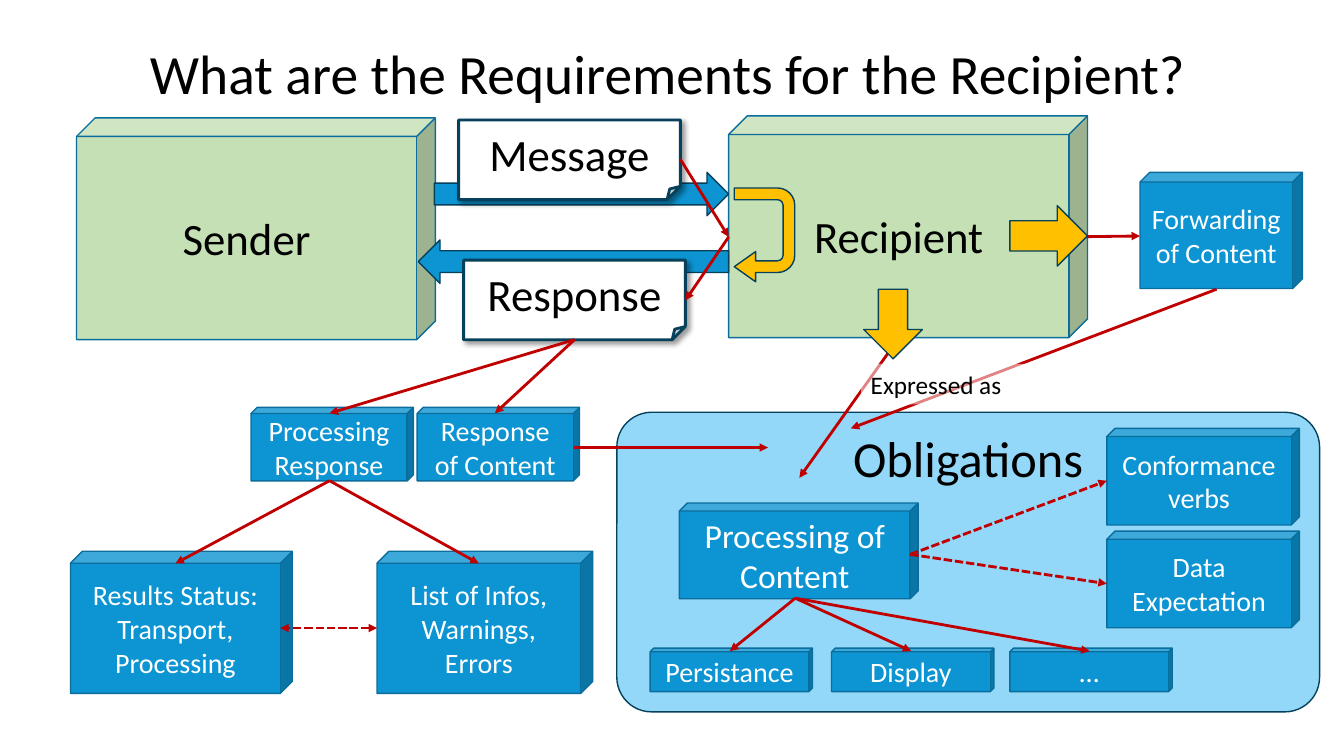
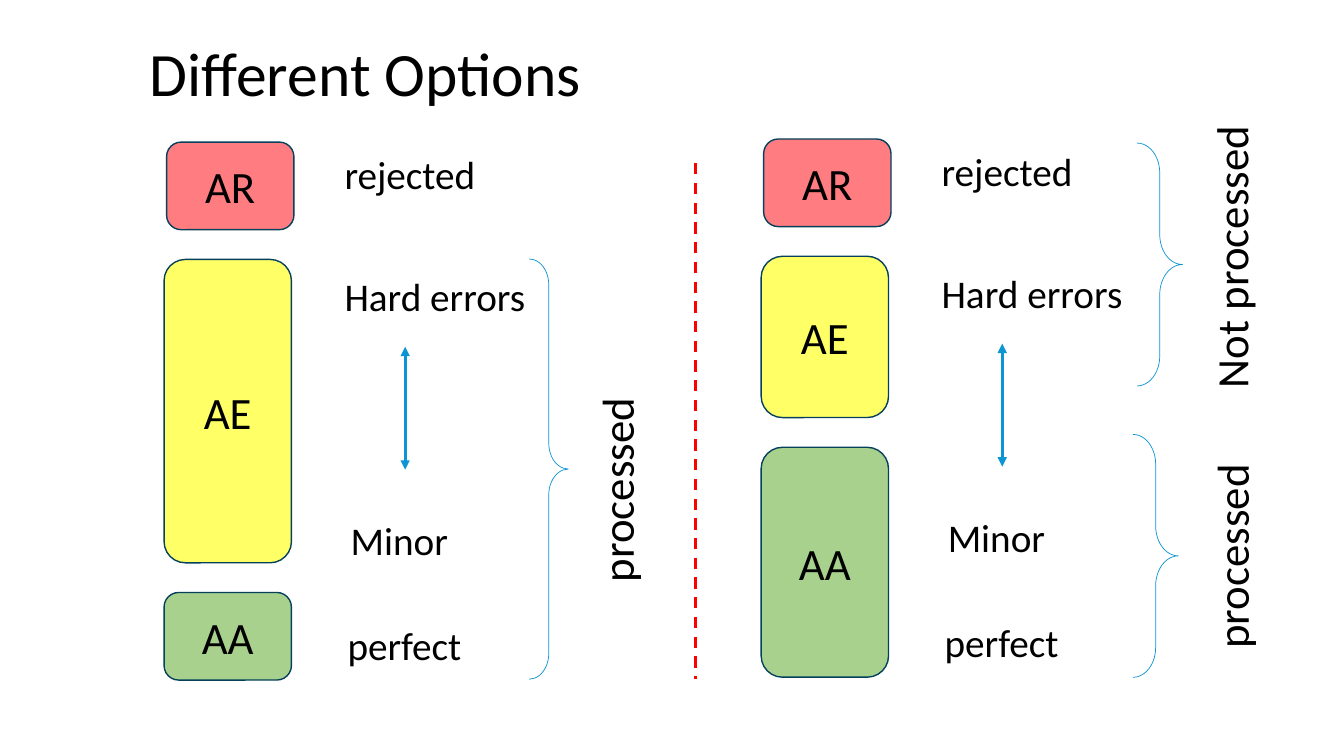
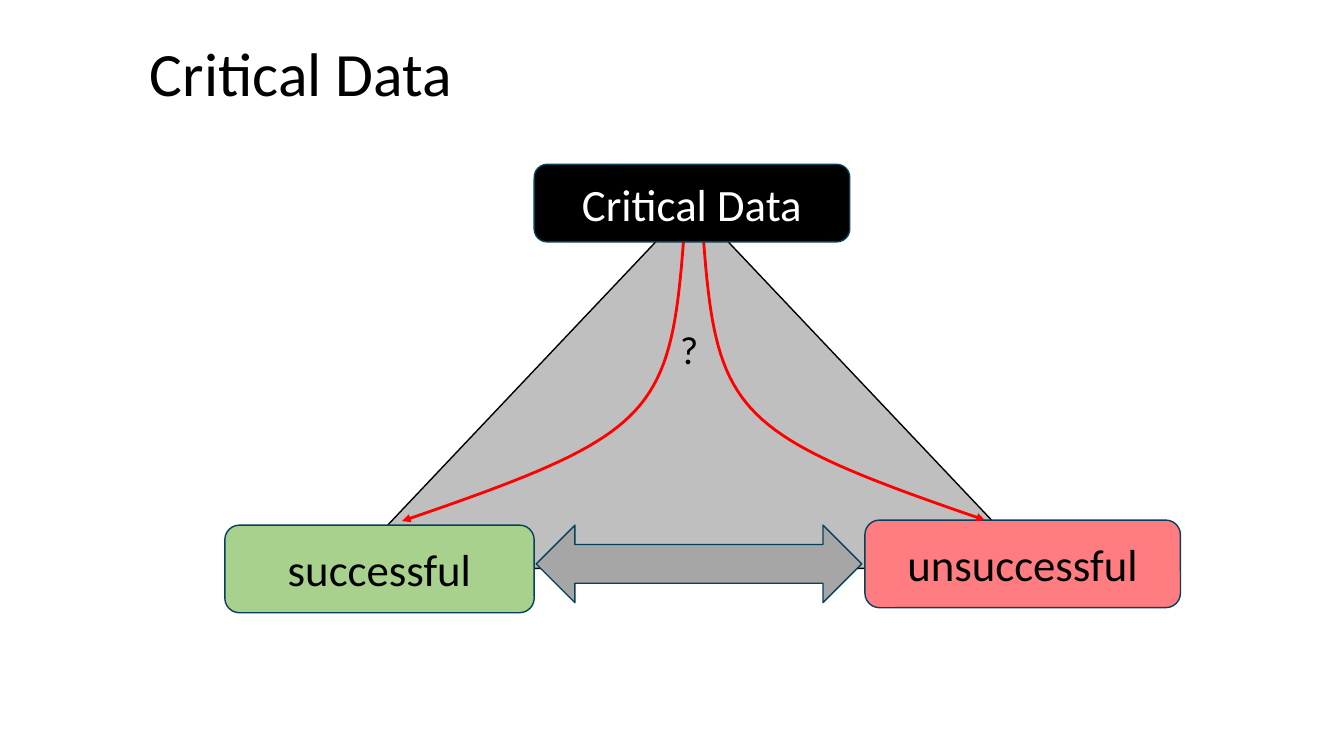
import pptx
import pptx.util
import pptx.dml.color
import pptx.enum.dml
import pptx.enum.shapes
import pptx.enum.text
import pptx.oxml.ns
import lxml.etree

Pt = pptx.util.Pt
qn = pptx.oxml.ns.qn
form = pptx.enum.shapes.MSO_SHAPE
dashes = pptx.enum.dml.MSO_LINE
aligns = pptx.enum.text.PP_ALIGN
anchors = pptx.enum.text.MSO_ANCHOR
sub = lxml.etree.SubElement

tints = {
    "black": "000000", "white": "FFFFFF", "navy": "06415C", "edge": "0A6D9B",
    "blue": "0D94D2", "sky": "93D8F8", "pale": "C5E0B4", "green": "A9D18E",
    "yellow": "FFFF66", "gold": "FFC000", "rose": "FF7C80", "red": "FF0000",
    "crimson": "C00000", "silver": "BFBFBF", "gray": "A6A6A6",
}
rgb = {name: pptx.dml.color.RGBColor.from_string(code) for name, code in tints.items()}


def put(page, kind, box, fill=None, line=None, text="", size=32, ink="black",
        width=1, adj=(), turn=0):
    """Add a preset shape, or a plain text box when kind is None."""
    box = [Pt(v) for v in box]
    if kind is None:
        shape = page.shapes.add_textbox(*box)
    else:
        shape = page.shapes.add_shape(kind, *box)
        shape.shadow.inherit = False
        for i, value in enumerate(adj):
            shape.adjustments[i] = value
        if fill:
            shape.fill.solid()
            shape.fill.fore_color.rgb = rgb[fill]
        else:
            shape.fill.background()
        if line:
            shape.line.color.rgb = rgb[line]
            shape.line.width = Pt(width)
        else:
            shape.line.fill.background()
    shape.rotation = turn
    if text:
        frame = shape.text_frame
        frame.word_wrap = kind is not None
        para = frame.paragraphs[0]
        para.alignment = aligns.LEFT if kind is None else aligns.CENTER
        run = para.add_run()
        run.text = text
        run.font.name = "Calibri"
        run.font.size = Pt(size)
        run.font.color.rgb = rgb[ink]
    return shape


def trace(page, dots, tint, ends=(), dash=None, width=2):
    """Draw a connector through two points, or an open outline through more."""
    dots = [(Pt(x), Pt(y)) for x, y in dots]
    if len(dots) == 2:
        straight = pptx.enum.shapes.MSO_CONNECTOR.STRAIGHT
        shape = page.shapes.add_connector(straight, *dots[0], *dots[1])
    else:
        pen = page.shapes.build_freeform(*dots[0], scale=1.0)
        pen.add_line_segments(dots[1:], close=False)
        shape = pen.convert_to_shape()
        shape.fill.background()
    shape.line.color.rgb = rgb[tint]
    shape.line.width = Pt(width)
    if dash:
        shape.line.dash_style = dash
    props = shape.element.spPr
    for end in ends:
        sub(props.find(qn("a:ln")), qn("a:" + end), type="triangle")
    sub(props, qn("a:effectLst"))


tail = ("tailEnd",)
both = ("headEnd", "tailEnd")

deck = pptx.Presentation()
deck.slide_width, deck.slide_height = Pt(960), Pt(540)

# Slides and their titles
pages = []
for text, size in (("What are the Requirements for the Recipient?", 39.6),
                   ("Different Options", 44), ("Critical Data", 44)):
    page = deck.slides.add_slide(deck.slide_layouts[6])
    title = put(page, None, (100, 21, 794, 67.5), text=text, size=size)
    title.text_frame.word_wrap = True
    title.text_frame.vertical_anchor = anchors.MIDDLE
    title.text_frame.paragraphs[0].line_spacing = 0.9
    pages.append(page)
flow, option, data = pages

# Slide 1: obligations panel
panel = put(flow, form.ROUNDED_RECTANGLE, (440.6, 294.5, 502, 214), "sky", "navy",
            "Obligations", 36, adj=(0.116,))
panel.text_frame.vertical_anchor = anchors.TOP

# Slide 1: cubes
for text, box, fill, size, ink in (
    ("Recipient", (520.5, 82.8, 256.3, 158.4), "pale", 32, "black"),
    ("Sender", (54.7, 84.2, 256.3, 158.4), "pale", 32, "black"),
    ("List of Infos, Warnings, Errors", (269.3, 393.8, 154, 101.5), "blue", 20, "white"),
    ("Results Status: Transport, Processing", (50.4, 393.8, 158.4, 101.5), "blue", 20, "white"),
    ("Processing of Content", (485.3, 359.3, 170.6, 68.4), "blue", 24, "white"),
    ("Persistance", (464.4, 463, 116, 31), "blue", 20, "white"),
    ("Display", (594, 463, 116, 31), "blue", 20, "white"),
    ("…", (721.4, 463, 116, 31), "blue", 20, "white"),
    ("Forwarding of Content", (814.3, 123.1, 116, 83), "blue", 20, "white"),
    ("Conformance verbs", (790.6, 306, 137.5, 69), "blue", 20, "white"),
    ("Data Expectation", (790.6, 379.4, 137.5, 69), "blue", 20, "white"),
    ("Response of Content", (298, 291, 116, 52.5), "blue", 20, "white"),
    ("Processing Response", (179.3, 291, 116, 52.5), "blue", 20, "white"),
):
    put(flow, form.CUBE, box, fill, "edge", text, size, ink, adj=(0.084,))

# Slide 1: exchange arrows and notes with a soft shadow
put(flow, form.RIGHT_ARROW, (310.3, 123.1, 210.2, 31), "blue", "navy")
put(flow, form.LEFT_ARROW, (298.8, 171.4, 221.7, 31), "blue", "navy")
for text, left, top in (("Response", 331.2, 185.8), ("Message", 327.6, 85.7)):
    note = put(flow, form.FOLDED_CORNER, (left, top, 158.4, 56.9), "white", "navy",
               text, width=2)
    glow = sub(note.element.spPr.find(qn("a:effectLst")), qn("a:outerShdw"),
               blurRad=str(Pt(4)), dist=str(Pt(3)), dir="2700000", algn="tl", rotWithShape="0")
    shade = sub(glow, qn("a:srgbClr"), val=tints["black"])
    sub(shade, qn("a:alpha"), val="40000")

# Slide 1: links, grouped by where they start
for start, stops, ends, dash in (
    ((235.4, 343.4), [(342, 402.5), (125.3, 402.5)], tail, None),
    ((642.2, 241.2), [(571, 341.3)], tail, None),
    ((568.1, 427.3), [(521.3, 465.1), (650.9, 465.1), (778.3, 465.1)], tail, None),
    ((763.2, 169.2), [(814.3, 168.6)], tail, None),
    ((520.5, 169.2), [(489.6, 214.5)], tail, None),
    ((486, 113.8), [(520.5, 169.2)], tail, None),
    ((269.3, 448.6), [(200.2, 448.6)], both, dashes.SQUARE_DOT),
    ((650.2, 396), [(790.6, 343.4), (790.6, 416.9)], tail, dashes.SQUARE_DOT),
    ((869, 206.6), [(607.7, 306)], tail, None),
    ((410.4, 242.6), [(235.4, 295.2), (353.5, 295.2)], tail, None),
    ((409.7, 319.7), [(548.6, 319.7)], tail, None),
):
    for stop in stops:
        trace(flow, (start, stop), "crimson", ends, dash)

# Slide 1: yellow arrows and caption
put(flow, form.U_TURN_ARROW, (512.6, 146.2, 67, 43.2), "gold", "navy",
    adj=(0.194, 0.25, 0.353, 0.285, 1), turn=90)
put(flow, form.RIGHT_ARROW, (721.4, 146.9, 55.4, 43.2), "gold", "navy")
put(flow, form.DOWN_ARROW, (617, 206.6, 41.8, 49.7), "gold", "navy")
note = put(flow, form.RECTANGLE, (614.9, 259.9, 126.7, 29), "white", text="Expressed as", size=18)
note.text_frame.vertical_anchor = anchors.TOP
note.text_frame.paragraphs[0].alignment = aligns.LEFT
sub(note.element.spPr.find(qn("a:solidFill"))[0], qn("a:alpha"), val="52000")

# Slide 2: two columns of stacked blocks with labels
gap = 21.2
for dx, dy, sizes in ((0, 0, (62.6, 216.7, 62.6)), (426.5, -2.2, (62.6, 115.2, 164.2))):
    top = 101.5 + dy
    for text, left, fill, high in zip(("AR", "AE", "AA"), (119, 117.2, 117.2),
                                      ("rose", "yellow", "green"), sizes):
        put(option, form.ROUNDED_RECTANGLE, (left + dx, top, 91, high), fill, "navy", text)
        top += high + gap
    for text, left, top, wide in (("rejected", 239, 103.7, 108.7),
                                  ("Hard errors", 239, 190.8, 145.4),
                                  ("Minor", 243.4, 365, 85),
                                  ("perfect", 241.2, 440, 96.5)):
        put(option, None, (left + dx, top + dy, wide, 41), text=text, size=28)
    trace(option, ((289.4 + dx, 335.5 + dy), (289.4 + dx, 247.7 + dy)), "blue", both, width=2.25)

# Slide 2: divider, braces and upright captions
trace(option, ((496.8, 116.6), (496.8, 485.3)), "red", dash=dashes.DASH)
for brace, text, box in (
    ((378, 185, 28, 300.2), "processed", (366.5, 326.2, 147.6, 46)),
    ((809.3, 310.3, 32.4, 173.5), "processed", (805.7, 373.7, 147.6, 46)),
    ((812.2, 102.2, 32.4, 173.5), "Not processed", (777.6, 159.8, 203, 46)),
):
    put(option, form.RIGHT_BRACE, brace, None, "blue", width=0.5, adj=(0.659, 0.5))
    put(option, None, box, text=text, turn=270)

# Slide 3: triangle and outcomes
put(data, form.ISOSCELES_TRIANGLE, (247.7, 145.4, 493.2, 260.6), "silver", "black")
put(data, form.LEFT_RIGHT_ARROW, (383, 375.1, 232.6, 55.4), "gray", "navy")
for text, box, fill in (("successful", (160.6, 375.1, 221, 62.6), "green"),
                        ("unsuccessful", (617.8, 371.5, 225.4, 62.6), "rose")):
    put(data, form.ROUNDED_RECTANGLE, box, fill, "navy", text)

# Slide 3: curved arrows, sampled from cubic curves
steps = 40
for curve in (((287.3, 372.2), (463.7, 311.8), (478.8, 298.1), (488.2, 172.8)),
              ((703.4, 371.5), (527, 311), (511.9, 296.6), (502.6, 172.1))):
    dots = []
    for i in range(steps + 1):
        t = i / steps
        mix = ((1 - t) ** 3, 3 * t * (1 - t) ** 2, 3 * t * t * (1 - t), t ** 3)
        dots.append([sum(m * p[k] for m, p in zip(mix, curve)) for k in (0, 1)])
    trace(data, dots, "red", ("headEnd",))

put(data, form.ROUNDED_RECTANGLE, (381.6, 117.4, 225.4, 55.4), "black", "navy",
    "Critical Data", ink="white")
put(data, None, (478.8, 229, 27.4, 41), text="?", size=28)

deck.save("out.pptx")
